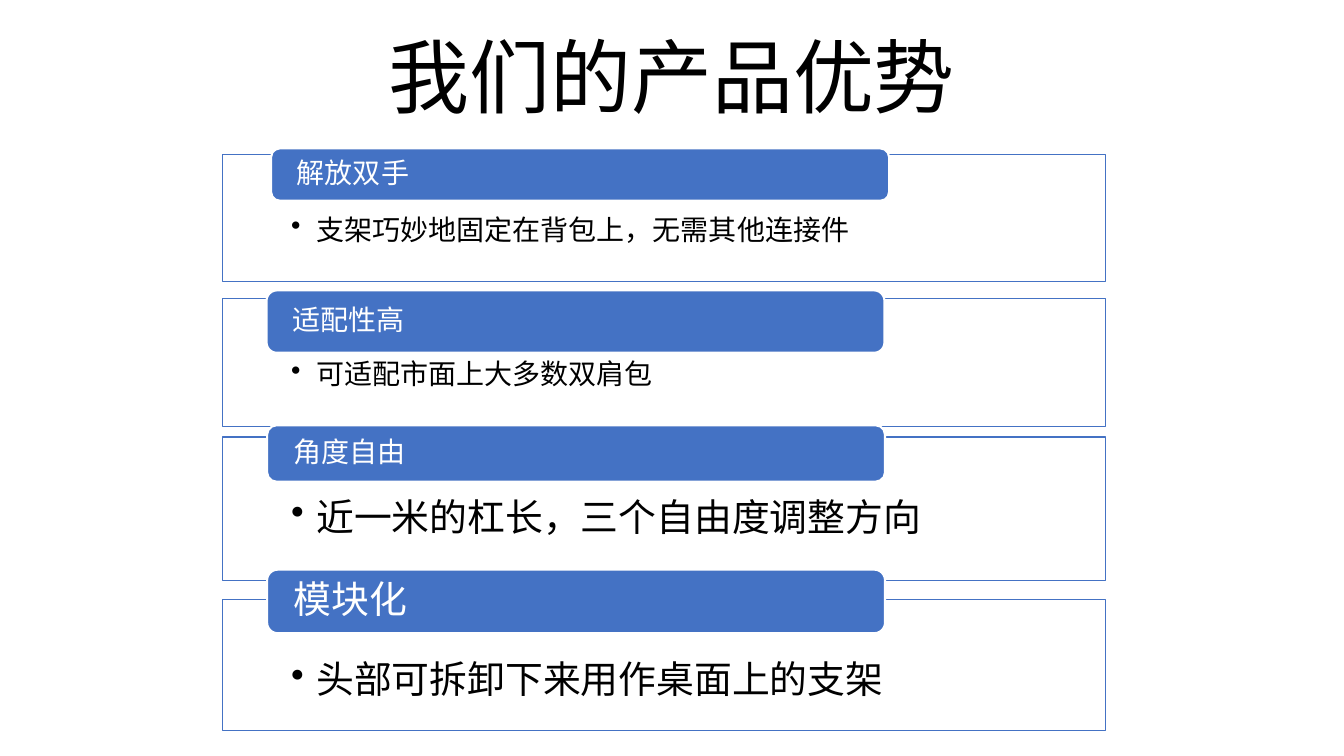
from typing import NamedTuple

import pptx
import pptx.dml.color
import pptx.enum.shapes
import pptx.enum.text
import pptx.oxml
import pptx.oxml.ns
import pptx.oxml.xmlchemy
import pptx.presentation
import pptx.shapes.autoshape
import pptx.slide
import pptx.text.text
import pptx.util

Pt = pptx.util.Pt
Kind = pptx.enum.shapes.MSO_SHAPE
Anchor = pptx.enum.text.MSO_ANCHOR
Align = pptx.enum.text.PP_ALIGN

FONT = "Noto Sans CJK SC"
BLUE = "4472C4"
WHITE = "FFFFFF"
BLACK = "000000"


class Box(NamedTuple):
    left: float
    top: float
    width: float
    height: float


class Panel(NamedTuple):
    title: str
    size: float
    tab: Box
    body: str
    large: float
    frame: Box


PANELS = [
    Panel("解放双手", 20, Box(193.7, 106, 441.4, 37.4),
          "支架巧妙地固定在背包上，无需其他连接件", 20, Box(159, 110.2, 630.7, 90.7)),
    Panel("适配性高", 20, Box(190.4, 207.4, 441.4, 44.6),
          "可适配市面上大多数双肩包", 20, Box(159, 213.1, 630.7, 91.4)),
    Panel("角度自由", 20, Box(190.8, 303.8, 441.4, 40.3),
          "近一米的杠长，三个自由度调整方向", 27, Box(159, 312.3, 630.7, 102.6)),
    Panel("模块化", 27, Box(190.8, 406.9, 441.4, 45.4),
          "头部可拆卸下来用作桌面上的支架", 27, Box(159, 428.3, 630.7, 93.4)),
]


def color(code: str) -> pptx.dml.color.RGBColor:
    return pptx.dml.color.RGBColor.from_string(code)


def add_tag(node: pptx.oxml.xmlchemy.BaseOxmlElement, tag: str, key: str, value: str) -> None:
    child = pptx.oxml.parse_xml(f'<a:{tag} {pptx.oxml.ns.nsdecls("a")} {key}="{value}"/>')
    node.append(child)


def add_run(para: pptx.text.text._Paragraph, text: str, size: float, code: str) -> None:
    run = para.add_run()
    run.text = text
    run.font.size = Pt(size)
    run.font.color.rgb = color(code)
    run.font.name = FONT
    add_tag(run.font._element, "ea", "typeface", FONT)


def set_pads(frame: pptx.text.text.TextFrame, left: float, top: float,
             right: float, base: float) -> None:
    frame.margin_left, frame.margin_top = Pt(left), Pt(top)
    frame.margin_right, frame.margin_bottom = Pt(right), Pt(base)


def add_block(slide: pptx.slide.Slide, kind: Kind, box: Box, fill: str,
              line: str, width: float) -> pptx.shapes.autoshape.Shape:
    shape = slide.shapes.add_shape(kind, *map(Pt, box))
    shape.shadow.inherit = False
    shape.fill.solid()
    shape.fill.fore_color.rgb = color(fill)
    shape.line.color.rgb = color(line)
    shape.line.width = Pt(width)
    shape.text_frame.word_wrap = True
    para = shape.text_frame.paragraphs[0]
    para.alignment = Align.LEFT
    para.line_spacing = 0.9
    return shape


def add_panel(slide: pptx.slide.Slide, panel: Panel) -> None:
    block = add_block(slide, Kind.RECTANGLE, panel.frame, WHITE, BLUE, 1)
    tint = block.fill._xPr.find(".//" + pptx.oxml.ns.qn("a:srgbClr"))
    add_tag(tint, "alpha", "val", "90000")
    frame = block.text_frame
    frame.vertical_anchor = Anchor.TOP
    set_pads(frame, 49, 44, 49, 12)
    para = frame.paragraphs[0]
    props = para._p.get_or_add_pPr()
    props.set("marL", str(Pt(18)))
    props.set("indent", str(-Pt(18)))
    add_tag(props, "buChar", "char", "•")
    add_run(para, panel.body, panel.large, BLACK)

    tab = add_block(slide, Kind.ROUNDED_RECTANGLE, panel.tab, BLUE, WHITE, 1.5)
    tab.text_frame.vertical_anchor = Anchor.MIDDLE
    set_pads(tab.text_frame, 16.6, 0, 16.6, 0)
    add_run(tab.text_frame.paragraphs[0], panel.title, panel.size, WHITE)


def add_title(slide: pptx.slide.Slide) -> None:
    box = slide.shapes.add_textbox(*map(Pt, Box(266.4, 13.7, 427, 80)))
    frame = box.text_frame
    frame.word_wrap = False
    set_pads(frame, 9.4, 5, 9.4, 5)
    para = frame.paragraphs[0]
    para.alignment = Align.CENTER
    add_run(para, "我们的产品优势", 57.8, BLACK)


def main() -> None:
    deck = pptx.Presentation()
    deck.slide_width, deck.slide_height = Pt(960), Pt(540)
    slide = deck.slides.add_slide(deck.slide_layouts[6])
    add_title(slide)
    for panel in PANELS:
        add_panel(slide, panel)
    deck.save("out.pptx")


if __name__ == "__main__":
    main()
